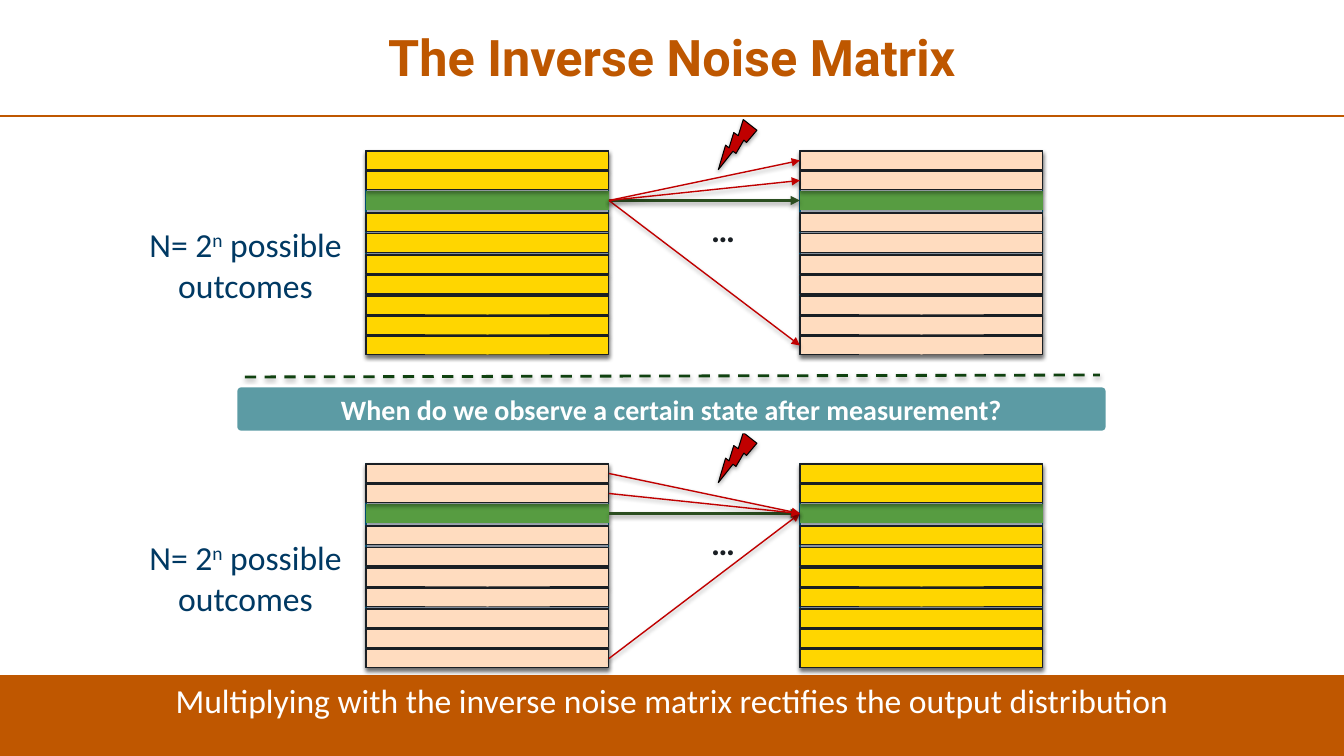
"""Build the slide about the inverse noise matrix."""
from lxml import etree
from pptx import Presentation, util as u
from pptx.dml.color import RGBColor
from pptx.enum import dml, shapes, text
from pptx.oxml.ns import qn

TITLE = "The Inverse Noise Matrix"
QUESTION = "When do we observe a certain state after measurement?"
CONCLUSION = "Multiplying with the inverse noise matrix rectifies the output distribution"
OUTCOMES = [[("N= 2", 0), ("n", 30000), (" possible", 0)], [("outcomes", 0)]]
DOTS = "…"

ORANGE, YELLOW, PEACH, GREEN = "BF5700", "FFD600", "FFDCBF", "579C41"
RED, DARK_GREEN, INK, NAVY, WHITE = "C00000", "2B4E20", "1A1F24", "003963", "FFFFFF"

PANEL_WIDTH, PANEL_HEIGHT, ROW_HEIGHT = 243, 204, 19
LEFT_PANEL, RIGHT_PANEL = 366, 800
ROW_OFFSETS = [0, 20, 40, 62, 83, 104, 124, 145, 165, 185]
OBSERVED_ROW = 2
NOISE_ROWS = [9, 0, 1]
DIAGRAMS = [
    {"top": 151, "colors": (YELLOW, PEACH), "spreads": True},
    {"top": 464, "colors": (PEACH, YELLOW), "spreads": False},
]
SHADOW = {"blurRad": 39370, "dist": 22860, "dir": 5400000, "rotWithShape": 0}
PX = 9144000 / 1008


def px(*lengths):
    return [u.Emu(round(length * PX)) for length in lengths]


def color(value):
    return RGBColor.from_string(value)


def set_effects(shape, shadow):
    effects = etree.SubElement(shape._element.spPr, qn("a:effectLst"))
    if shadow:
        outer = etree.SubElement(effects, qn("a:outerShdw"))
        for name, value in SHADOW.items():
            outer.set(name, str(value))
        black = etree.SubElement(outer, qn("a:srgbClr"), val="000000")
        etree.SubElement(black, qn("a:alpha"), val="35000")


def add_shape(parent, kind, box, fill=None, line=None, width=0.75, shadow=False):
    shape = parent.add_shape(kind, *px(*box))
    if fill:
        shape.fill.solid()
        shape.fill.fore_color.rgb = color(fill)
    else:
        shape.fill.background()
    if line:
        shape.line.color.rgb = color(line)
        shape.line.width = u.Pt(width)
    else:
        shape.line.fill.background()
    set_effects(shape, shadow)
    return shape


def write(shape, paragraphs, size, hue, bold=False, name="Calibri",
          anchor=text.MSO_ANCHOR.MIDDLE, spacing=1.0):
    frame = shape.text_frame
    frame.word_wrap = True
    frame.vertical_anchor = anchor
    for index, pieces in enumerate(paragraphs):
        paragraph = frame.add_paragraph() if index else frame.paragraphs[0]
        paragraph.alignment = text.PP_ALIGN.CENTER
        paragraph.line_spacing = spacing
        for words, baseline in pieces:
            run = paragraph.add_run()
            run.text = words
            font = {"size": u.Pt(size), "name": name, "bold": bold}
            for key, value in font.items():
                setattr(run.font, key, value)
            run.font.color.rgb = color(hue)
            if baseline:
                run._r.get_or_add_rPr().set("baseline", str(baseline))


def add_line(slide, ends, hue, width, arrow=False, dash=None, shadow=True):
    line = slide.shapes.add_connector(shapes.MSO_CONNECTOR.STRAIGHT, *px(*ends))
    line.line.color.rgb = color(hue)
    line.line.width = u.Pt(width)
    if dash:
        line.line.dash_style = dash
    if arrow:
        etree.SubElement(line.line._get_or_add_ln(), qn("a:tailEnd"), type="triangle")
    set_effects(line, shadow)


def add_panel(slide, left, top, hue):
    group = slide.shapes.add_group_shape().shapes
    kind = shapes.MSO_SHAPE.RECTANGLE
    backing = add_shape(group, kind, (left, top, PANEL_WIDTH, PANEL_HEIGHT),
                        WHITE, "005C83", shadow=True)
    backing.fill.gradient()
    backing.fill.gradient_angle = 90
    for stop, shade in zip(backing.fill.gradient_stops, ("ABC3E0", "E8EFF7")):
        stop.color.rgb = color(shade)
    rows = sorted(range(len(ROW_OFFSETS)), key=lambda row: row != OBSERVED_ROW)
    for row in rows:
        fill, line = (GREEN, None) if row == OBSERVED_ROW else (hue, INK)
        box = (left, top + ROW_OFFSETS[row], PANEL_WIDTH, ROW_HEIGHT)
        add_shape(group, kind, box, fill, line, shadow=True)


def add_callout(slide, box, paragraphs, hue, bold=False):
    callout = add_shape(slide.shapes, shapes.MSO_SHAPE.ROUNDED_RECTANGULAR_CALLOUT, box)
    for index, value in enumerate((-0.415, -0.491, 0.167)):
        callout.adjustments[index] = value
    write(callout, paragraphs, 24, hue, bold)


def add_diagram(slide, top, colors, spreads):
    bolt = add_shape(slide.shapes, shapes.MSO_SHAPE.LIGHTNING_BOLT,
                     (716, top - 33, 38, 50), RED, "000000", shadow=True)
    bolt.rotation = 69.2
    for left, hue in zip((LEFT_PANEL, RIGHT_PANEL), colors):
        add_panel(slide, left, top, hue)
    start = LEFT_PANEL + PANEL_WIDTH
    middles = [top + offset + ROW_HEIGHT / 2 for offset in ROW_OFFSETS]
    observed = middles[OBSERVED_ROW]
    add_line(slide, (start, observed, RIGHT_PANEL, observed), DARK_GREEN, 2.25, arrow=True)
    for row in NOISE_ROWS:
        begin, end = (observed, middles[row]) if spreads else (middles[row], observed)
        add_line(slide, (start, begin, RIGHT_PANEL, end), RED, 1, arrow=True)
    add_callout(slide, (134, top + 73, 223, 81), OUTCOMES, NAVY)
    add_callout(slide, (678, top + 38, 90, 81), [[(DOTS, 0)]], INK, True)


def main():
    presentation = Presentation()
    presentation.slide_width, presentation.slide_height = px(1344, 756)
    slide = presentation.slides.add_slide(presentation.slide_layouts[6])

    title = slide.shapes.add_textbox(*px(9, 4, 1326, 112))
    write(title, [[(TITLE, 0)]], 36, "BE5700", True, "Roboto", spacing=0.9)
    add_line(slide, (0, 116, 1344, 116), ORANGE, 1.5, shadow=False)
    footer = add_shape(slide.shapes, shapes.MSO_SHAPE.RECTANGLE, (0, 675, 1344, 81), ORANGE)
    write(footer, [[(CONCLUSION, 0)]], 24, WHITE, anchor=text.MSO_ANCHOR.TOP)

    for diagram in DIAGRAMS:
        add_diagram(slide, **diagram)

    add_line(slide, (245, 377, 1100, 375), "104210", 2, dash=dml.MSO_LINE.DASH)
    banner = add_shape(slide.shapes, shapes.MSO_SHAPE.ROUNDED_RECTANGLE,
                       (236, 386, 871, 46), "5C9BA4", WHITE, 2)
    banner.adjustments[0] = 0.1
    write(banner, [[(QUESTION, 0)]], 20, WHITE, True)
    presentation.save("out.pptx")


if __name__ == "__main__":
    main()
